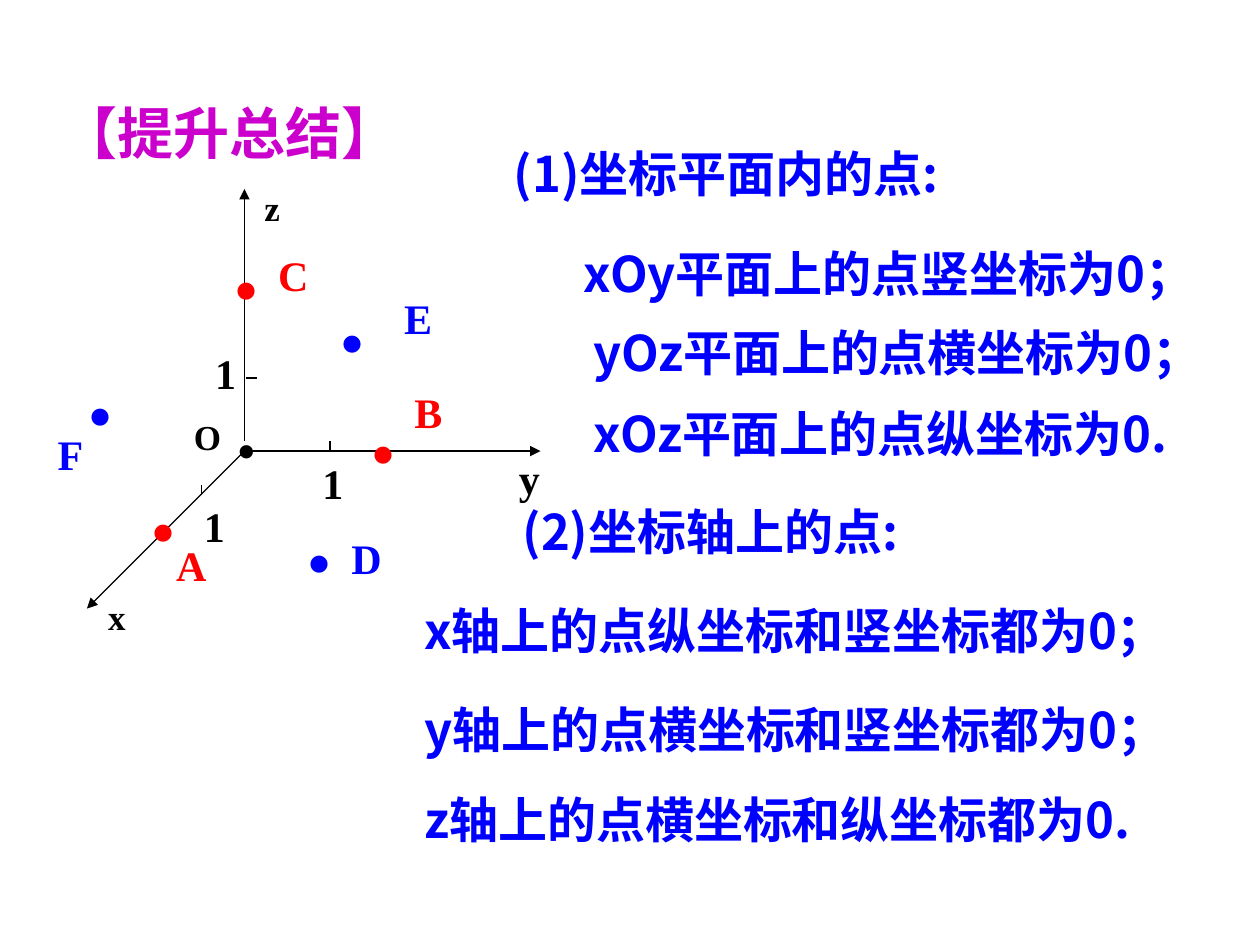
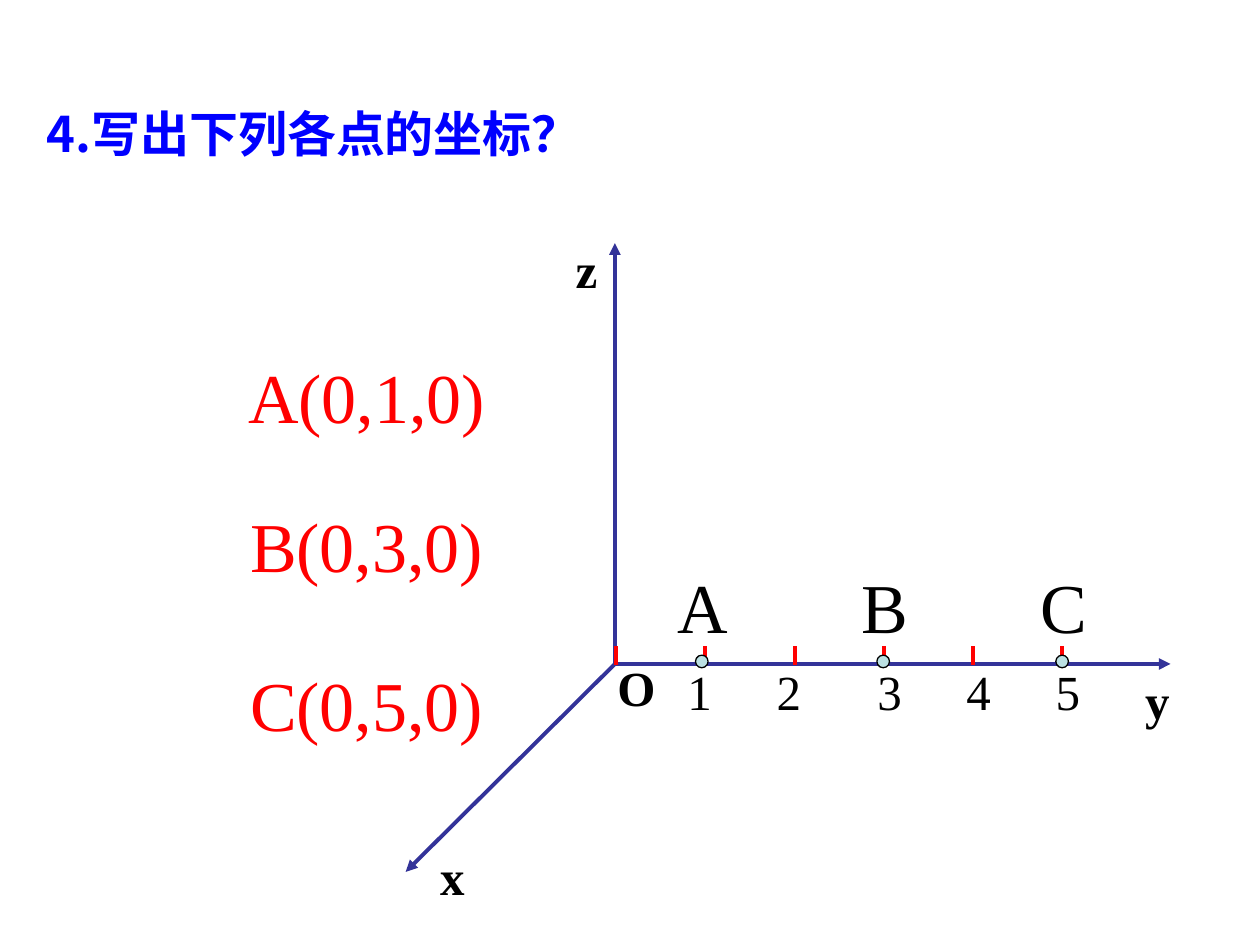
from lxml import etree
from pptx import Presentation
from pptx import util as u
from pptx.dml import color
from pptx.enum import shapes, text
from pptx.oxml import ns

COLORS = {
    "ink": "000000", "blue": "0000FF", "red": "FF0000", "magenta": "CC00CC",
    "axis": "333399", "dot": "BBE0E3",
}
CJK, SERIF, SANS = "Noto Sans CJK SC", "Times New Roman", "Arial"
ALIGN = {"left": text.PP_ALIGN.LEFT, "center": text.PP_ALIGN.CENTER}


def rgb(name):
    return color.RGBColor.from_string(COLORS[name])


def write_text(frame, words, size=28, font=SERIF, fill="ink", bold=True,
               align="left", wrap=False):
    """Fill a text frame with one formatted paragraph."""
    frame.word_wrap = wrap
    frame.auto_size = text.MSO_AUTO_SIZE.SHAPE_TO_FIT_TEXT
    frame.vertical_anchor = text.MSO_ANCHOR.TOP
    para = frame.paragraphs[0]
    para.alignment = ALIGN[align]
    span = para.add_run()
    span.text = words
    span.font.size = u.Pt(size)
    span.font.bold = bold
    span.font.name = font
    span.font.color.rgb = rgb(fill)
    east_asian = etree.SubElement(span.font._element, ns.qn("a:ea"))
    east_asian.set("typeface", CJK if font == SANS else font)


class Builder:
    """Holds the deck and the page being drawn."""

    def __init__(self):
        self.deck = Presentation()
        self.deck.slide_width = u.Inches(10)
        self.deck.slide_height = u.Inches(7.5)
        self.page = None

    def new_page(self, title, left, top, width, height, **style):
        self.page = self.deck.slides.add_slide(self.deck.slide_layouts[5])
        box = self.page.shapes.title
        box.left, box.top = u.Inches(left), u.Inches(top)
        box.width, box.height = u.Inches(width), u.Inches(height)
        write_text(box.text_frame, title, wrap=True, **style)

    def label(self, words, left, top, width, height=0.57, **style):
        box = self.page.shapes.add_textbox(
            u.Inches(left), u.Inches(top), u.Inches(width), u.Inches(height))
        write_text(box.text_frame, words, **style)

    def line(self, start, end, fill="ink", weight=0.75, arrow=False):
        link = self.page.shapes.add_connector(
            shapes.MSO_CONNECTOR.STRAIGHT,
            *[u.Inches(value) for value in (*start, *end)])
        link.line.color.rgb = rgb(fill)
        link.line.width = u.Pt(weight)
        properties = link.element.spPr
        if arrow:
            tail = etree.SubElement(properties.find(ns.qn("a:ln")), ns.qn("a:tailEnd"))
            tail.set("type", "triangle")
        etree.SubElement(properties, ns.qn("a:effectLst"))

    def dot(self, left, top, size):
        circle = self.page.shapes.add_shape(
            shapes.MSO_SHAPE.OVAL, u.Inches(left), u.Inches(top),
            u.Inches(size), u.Inches(size))
        circle.shadow.inherit = False
        circle.fill.solid()
        circle.fill.fore_color.rgb = rgb("dot")
        circle.line.color.rgb = rgb("ink")
        circle.line.width = u.Pt(0.75)


def build_summary(builder):
    builder.new_page("【提升总结】", 0.39, 0.73, 3.04, 0.64,
                     size=32, font=SANS, fill="magenta")

    # Rules for points on planes and axes
    rules = [
        ("(1)坐标平面内的点:", 3.98, 1.09, 4.8),
        ("xOy平面上的点竖坐标为0；", 4.53, 1.88, 5.58),
        ("yOz平面上的点横坐标为0；", 4.61, 2.51, 5.58),
        ("xOz平面上的点纵坐标为0.", 4.61, 3.15, 5.58),
        ("(2)坐标轴上的点:", 4.05, 3.93, 4.96),
        ("x轴上的点纵坐标和竖坐标都为0；", 3.27, 4.72, 6.65),
        ("y轴上的点横坐标和竖坐标都为0；", 3.27, 5.5, 6.73),
        ("z轴上的点横坐标和纵坐标都为0.", 3.27, 6.22, 6.81),
    ]
    for words, left, top, width in rules:
        builder.label(words, left, top, width, font=CJK, fill="blue", wrap=True)

    # Axes and unit ticks
    builder.label("•", 1.79, 3.28, 0.33)
    origin = (1.94, 3.58)
    for start, end in [(origin, (0.69, 4.83)), (origin, (4.29, 3.58)),
                       ((1.94, 3.5), (1.94, 1.5))]:
        builder.line(start, end, arrow=True)
    for start, end in [((2.62, 3.58), (2.62, 3.5)), ((1.95, 3), (2.04, 3)),
                       ((1.6, 3.93), (1.6, 3.85))]:
        builder.line(start, end)
    for name, left, top, width in [("O", 1.44, 3.25, 0.41), ("x", 0.76, 4.68, 0.34),
                                   ("z", 2, 1.43, 0.32)]:
        builder.label(name, left, top, width, 0.44, size=20)
    for name, left, top in [("y", 4.02, 3.54), ("1", 2.46, 3.58),
                            ("1", 1.61, 2.71), ("1", 1.52, 3.92)]:
        builder.label(name, left, top, 0.36, 0.5, size=24)

    # Points: name, colour, dot position, name position and width
    points = [
        ("A", "red", (1.11, 3.85), (1.3, 4.23, 0.44)),
        ("B", "red", (2.86, 3.23), (3.19, 3.02, 0.42)),
        ("C", "red", (1.77, 1.93), (2.11, 1.93, 0.44)),
        ("D", "blue", (2.35, 4.1), (2.69, 4.18, 0.44)),
        ("E", "blue", (2.61, 2.35), (3.11, 2.27, 0.42)),
        ("F", "blue", (0.61, 2.93), (0.36, 3.35, 0.4)),
    ]
    for name, fill, dot_place, name_place in points:
        builder.label("•", *dot_place, 0.37, 0.7, size=36, fill=fill)
        builder.label(name, *name_place, 0.5, size=24, fill=fill)


def build_exercise(builder):
    builder.new_page("4.写出下列各点的坐标？", 0.27, 0.77, 9.31, 0.57,
                     font=CJK, fill="blue")

    # Axes
    origin = (4.88, 5.27)
    for end in [(4.88, 1.93), (3.22, 6.92), (9.29, 5.27)]:
        builder.line(origin, end, fill="axis", weight=2.25, arrow=True)
    for name, left, top, width in [("z", 4.47, 1.85, 0.37), ("x", 3.39, 6.67, 0.4),
                                   ("y", 8.99, 5.27, 0.39), ("O", 4.8, 5.17, 0.5)]:
        builder.label(name, left, top, width, align="center")

    # Scale on the y axis
    for number in range(6):
        tick = 4.89 + 0.708 * number
        builder.line((tick, 5.13), (tick, 5.28), fill="red", weight=2.25)
        if number:
            shift = 0.24 if number < 3 else 0.15
            builder.label(str(number), tick - shift, 5.2, 0.39,
                          bold=False, align="center")

    # Points on the axis and their coordinates
    points = [("A", 1, 5.57, 0.6, 2.76), ("B", 3, 7.01, 0.57, 3.94),
              ("C", 5, 8.43, 0.57, 5.2)]
    large = {"size": 40, "bold": False, "align": "center"}
    for name, value, middle, width, answer_top in points:
        builder.dot(middle - 0.05, 5.2, 0.1)
        builder.label(name, middle + 0.01 - width / 2, 4.42, width, 0.77, **large)
        builder.label(f"{name}(0,{value},0)", 1.44, answer_top, 2.94, 0.77,
                      fill="red", wrap=True, **large)


def main():
    builder = Builder()
    build_summary(builder)
    build_exercise(builder)
    builder.deck.save("out.pptx")


if __name__ == "__main__":
    main()
